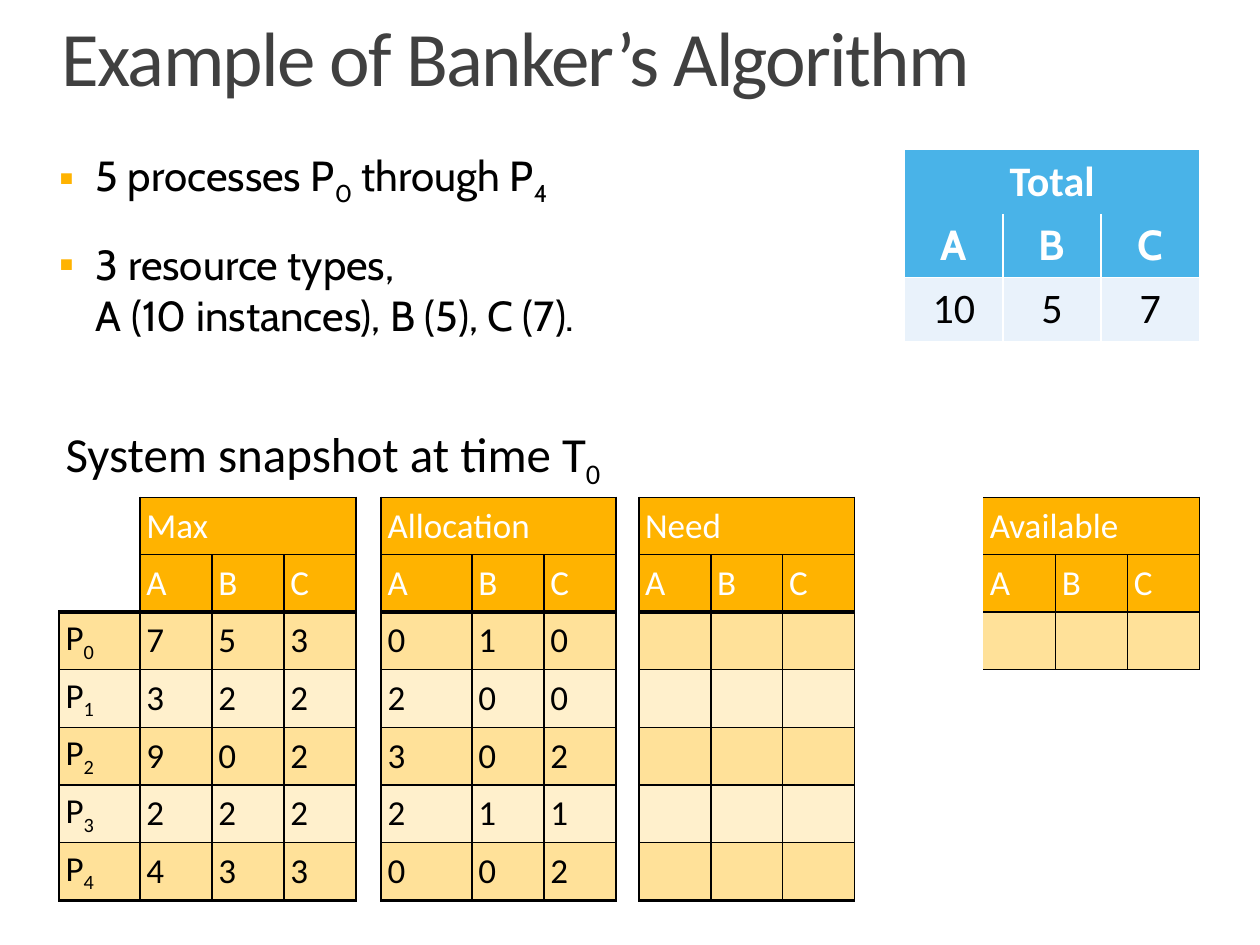
import pptx
import pptx.dml.color
import pptx.enum.text
import pptx.util
from lxml import etree
from pptx.oxml.ns import qn

WIDTH, HEIGHT = 10, 7.5
PLAIN_STYLE = "{2D5ABB26-0587-4C30-8999-92F81FD0307C}"
AMBER, BLACK, WHITE = "FFB300", "000000", "FFFFFF"
BANDS = ["FFE199", "FFF0CC"]
MAX = ["753", "322", "902", "222", "433"]
ALLOCATION = ["010", "200", "302", "211", "002"]
BLANK = ["   "]
ANCHOR = pptx.enum.text.MSO_ANCHOR
ALIGN = pptx.enum.text.PP_ALIGN


def colour(value):
    return pptx.dml.color.RGBColor.from_string(value)


def place(shape, box):
    """Move a shape to a box given as shares of the slide."""
    left, top, width, height = box
    shape.left, shape.width = (pptx.util.Inches(v * WIDTH) for v in (left, width))
    shape.top, shape.height = (pptx.util.Inches(v * HEIGHT) for v in (top, height))


def set_font(para, name, size, value, bold=False):
    para.font.name, para.font.size, para.font.bold = name, pptx.util.Pt(size), bold
    para.font.color.rgb = colour(value)


def write(para, text):
    """Add text in which the character after an underscore is a subscript."""
    for index, piece in enumerate(text.split("_")):
        if index:
            low = para.add_run()
            low.text = piece[0]
            low.font._element.set("baseline", "-25000")
            piece = piece[1:]
        if piece:
            para.add_run().text = piece


def set_margins(frame, left, top, right, bottom):
    frame.margin_left, frame.margin_right = pptx.util.Inches(left), pptx.util.Inches(right)
    frame.margin_top, frame.margin_bottom = pptx.util.Inches(top), pptx.util.Inches(bottom)


def add_title(page, box):
    title = page.shapes.title
    place(title, box)
    frame = title.text_frame
    frame.auto_size = pptx.enum.text.MSO_AUTO_SIZE.NONE
    frame.vertical_anchor = ANCHOR.BOTTOM
    set_margins(frame, 0, 0.04, 0, 0)
    para = frame.paragraphs[0]
    para.alignment = ALIGN.LEFT
    para._p.get_or_add_pPr().set("marL", str(pptx.util.Inches(0.49)))
    write(para, "Example of Banker’s Algorithm")
    set_font(para, "Calibri", 44, "404040")
    para.runs[0].font._element.set("spc", "-100")


def add_bullet(para):
    props = para._p.get_or_add_pPr()
    indent = pptx.util.Inches(0.29)
    props.set("marL", str(indent))
    props.set("indent", str(-indent))
    tint = etree.SubElement(props, qn("a:buClr"))
    etree.SubElement(tint, qn("a:srgbClr"), val=AMBER)
    etree.SubElement(props, qn("a:buFont"), typeface="Calibri")
    etree.SubElement(props, qn("a:buChar"), char="▪")


def add_facts(page, box):
    body = page.placeholders[1]
    place(body, box)
    frame = body.text_frame
    frame.auto_size = pptx.enum.text.MSO_AUTO_SIZE.NONE
    set_margins(frame, 0, 0, 0, 0)
    facts = [["5 processes P_0 through P_4"],
             ["3 resource types,", "A (10 instances), B (5), C (7)."]]
    for index, lines in enumerate(facts):
        para = frame.add_paragraph() if index else frame.paragraphs[0]
        add_bullet(para)
        para.space_before = pptx.util.Pt(18 if index else 0)
        for number, line in enumerate(lines):
            if number:
                para.add_line_break()
            write(para, line)
        set_font(para, "Cabin", 24, BLACK)


def add_grid(page, box, columns, rows):
    """Add an unstyled table whose columns and rows share the box by weight."""
    holder = page.shapes.add_table(len(rows), len(columns), 0, 0, 9, 9)
    place(holder, box)
    table = holder.table
    table.first_row = table.horz_banding = False
    table._tbl.tblPr.find(qn("a:tableStyleId")).text = PLAIN_STYLE
    for column, weight in zip(table.columns, columns):
        column.width = pptx.util.Inches(box[2] * WIDTH * weight / sum(columns))
    for row, weight in zip(table.rows, rows):
        row.height = pptx.util.Inches(box[3] * HEIGHT * weight / sum(rows))
    return table


def set_borders(cell, value, widths):
    """Draw the sides named by the keys L, R, T and B, widths in points."""
    props = cell._tc.get_or_add_tcPr()
    sides = [side for side in "LRTB" if side in widths]
    for index, side in enumerate(sides):
        line = etree.Element(qn("a:ln" + side), w=str(pptx.util.Pt(widths[side])))
        fill = etree.SubElement(line, qn("a:solidFill"))
        etree.SubElement(fill, qn("a:srgbClr"), val=value)
        props.insert(index, line)


def fill_cell(cell, text, fill, font, size, value, bold=False, align=ALIGN.LEFT):
    if fill:
        cell.fill.solid()
        cell.fill.fore_color.rgb = colour(fill)
    cell.vertical_anchor = ANCHOR.MIDDLE
    para = cell.text_frame.paragraphs[0]
    para.alignment = align
    write(para, text.strip())
    set_font(para, font, size, value, bold)


def add_group(table, first, heading, records, left=1, rule=2.25):
    """Fill three columns from the first: heading, letters, then the records."""
    edge = {"L": left} if left else {}
    head = table.cell(1, first)
    head.merge(table.cell(1, first + 2))
    fill_cell(head, heading, AMBER, "Calibri", 20, WHITE)
    set_borders(head, BLACK, {"T": 1, "R": 1, **edge})
    for row, record in enumerate(["ABC", *records], 2):
        for offset, text in enumerate(record):
            cell = table.cell(row, first + offset)
            sides = {"R": 1, "B": 1, **(edge if offset == 0 else {"L": 1})}
            if row == 2:
                fill_cell(cell, text, AMBER, "Calibri", 20, WHITE)
                sides["B"] = rule
            else:
                fill_cell(cell, text, BANDS[(row - 3) % 2], "Calibri", 20, BLACK)
                sides["T"] = rule if row == 3 else 1
                if row == 7:
                    sides["B"] = 2.25
            set_borders(cell, BLACK, sides)


def add_snapshot(page, box):
    label, unit = 0.64, 0.57
    columns = [label, *[unit] * 3, 0.2, 0.72, *[unit] * 2, 0.18, *[unit] * 3, 1.02, *[unit] * 3]
    table = add_grid(page, box, columns, [0.59] + [0.45] * 7)
    for row in table.rows:
        for cell in row.cells:
            set_margins(cell, 0.05, 0.04, 0.05, 0.04)
    caption = table.cell(0, 0)
    caption.merge(table.cell(0, len(columns) - 1))
    fill_cell(caption, "System snapshot at time T_0", None, "Calibri", 28, BLACK)
    for number in range(5):
        cell = table.cell(number + 3, 0)
        fill_cell(cell, f"P_{number}", BANDS[number % 2], "Calibri", 20, BLACK)
        set_borders(cell, BLACK, {"L": 1, "R": 1, "T": 1 if number else 2.25,
                                  "B": 2.25 if number == 4 else 1})
    add_group(table, 1, "Max", MAX)
    add_group(table, 5, "Allocation", ALLOCATION)
    add_group(table, 9, "Need", BLANK * 5)
    add_group(table, 13, "Available", BLANK, left=0, rule=1)


def add_totals(page, box):
    table = add_grid(page, box, [1] * 3, [1] * 3)
    head = table.cell(0, 0)
    head.merge(table.cell(0, 2))
    blue, centre = "49B3E8", ALIGN.CENTER
    fill_cell(head, "Total", blue, "Calibri", 24, WHITE, True, centre)
    for column, (letter, count) in enumerate(zip("ABC", ["10", "5", "7"])):
        name, value = table.cell(1, column), table.cell(2, column)
        fill_cell(name, letter, blue, "Cabin", 24, WHITE, True, centre)
        fill_cell(value, count, "E9F2FB", "Calibri", 24, BLACK, False, centre)
        for cell in (name, value):
            set_borders(cell, WHITE, {"L": 1, "R": 1, "B": 1})


def main():
    deck = pptx.Presentation()
    deck.slide_width, deck.slide_height = pptx.util.Inches(WIDTH), pptx.util.Inches(HEIGHT)
    page = deck.slides.add_slide(deck.slide_layouts[1])
    add_title(page, (0, 0.03 / HEIGHT, 1, 0.78 / HEIGHT))
    add_facts(page, (0.047, 1.19 / HEIGHT, 0.906, 2.76 / HEIGHT))
    add_snapshot(page, (0.047, 3.34 / HEIGHT, 0.905, 3.78 / HEIGHT))
    add_totals(page, (0.718, 1.19 / HEIGHT, 0.234, 0.2))
    deck.save("out.pptx")


if __name__ == "__main__":
    main()
